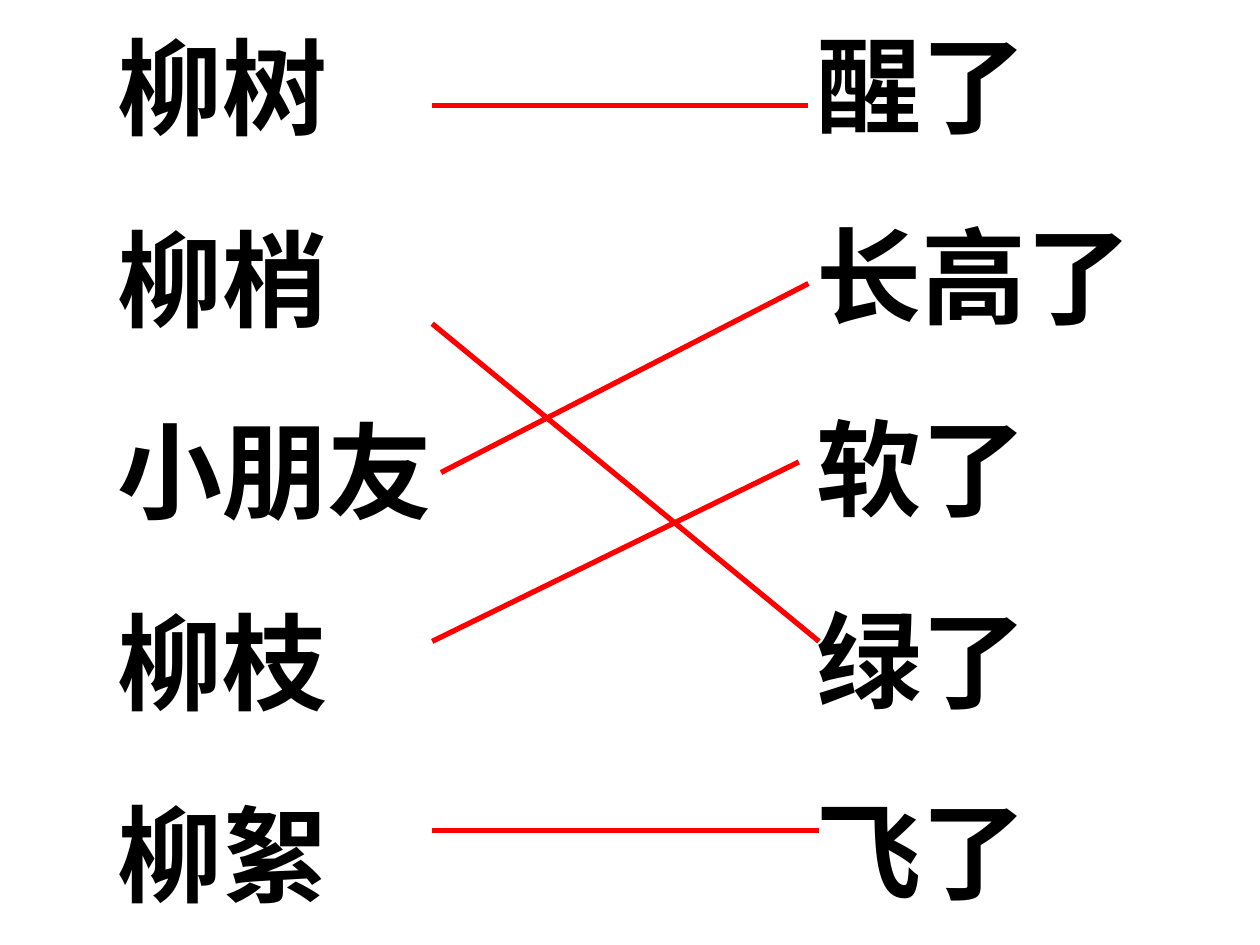
from lxml import etree
from pptx import Presentation
from pptx.dml.color import RGBColor
from pptx.enum import shapes, text
from pptx.oxml import ns
from pptx.util import Pt

BLACK = RGBColor(0, 0, 0)
RED = RGBColor(255, 0, 0)
FONT = "Times New Roman"

SUBJECTS = ["柳树", "柳梢", "小朋友", "柳枝", "柳絮"]
CHANGES = ["醒了", "长高了", "软了", "绿了", "飞了"]
MATCHES = [
    ((252, 270), (462, 162)),
    ((247, 60.5), (462, 60.5)),
    ((247, 185), (468, 366.5)),
    ((456.5, 264), (247, 366.5)),
    ((247, 474.5), (468, 474.5)),
]


def add_word_column(slide, words, left, top, width):
    column = slide.shapes.add_textbox(Pt(left), Pt(top), Pt(width), Pt(517.5))
    frame = column.text_frame
    frame.word_wrap = True
    frame.auto_size = text.MSO_AUTO_SIZE.SHAPE_TO_FIT_TEXT
    frame.text = "\n".join(words)
    for position, word in enumerate(frame.paragraphs):
        if position:
            word.space_before = Pt(37.5)
        word.font.name = FONT
        word.font.size = Pt(60)
        word.font.bold = True
        word.font.color.rgb = BLACK


def add_match(slide, start, end):
    match = slide.shapes.add_connector(
        shapes.MSO_CONNECTOR.STRAIGHT, *map(Pt, start + end)
    )
    match.line.color.rgb = RED
    match.line.width = Pt(3)
    etree.SubElement(match._element.spPr, ns.qn("a:effectLst"))


def main():
    deck = Presentation()
    deck.slide_width, deck.slide_height = Pt(720), Pt(540)
    slide = deck.slides.add_slide(deck.slide_layouts[6])
    add_word_column(slide, SUBJECTS, 60, 9.5, 312)
    for start, end in MATCHES:
        add_match(slide, start, end)
    add_word_column(slide, CHANGES, 459.5, 8, 286.5)
    deck.save("out.pptx")


if __name__ == "__main__":
    main()
